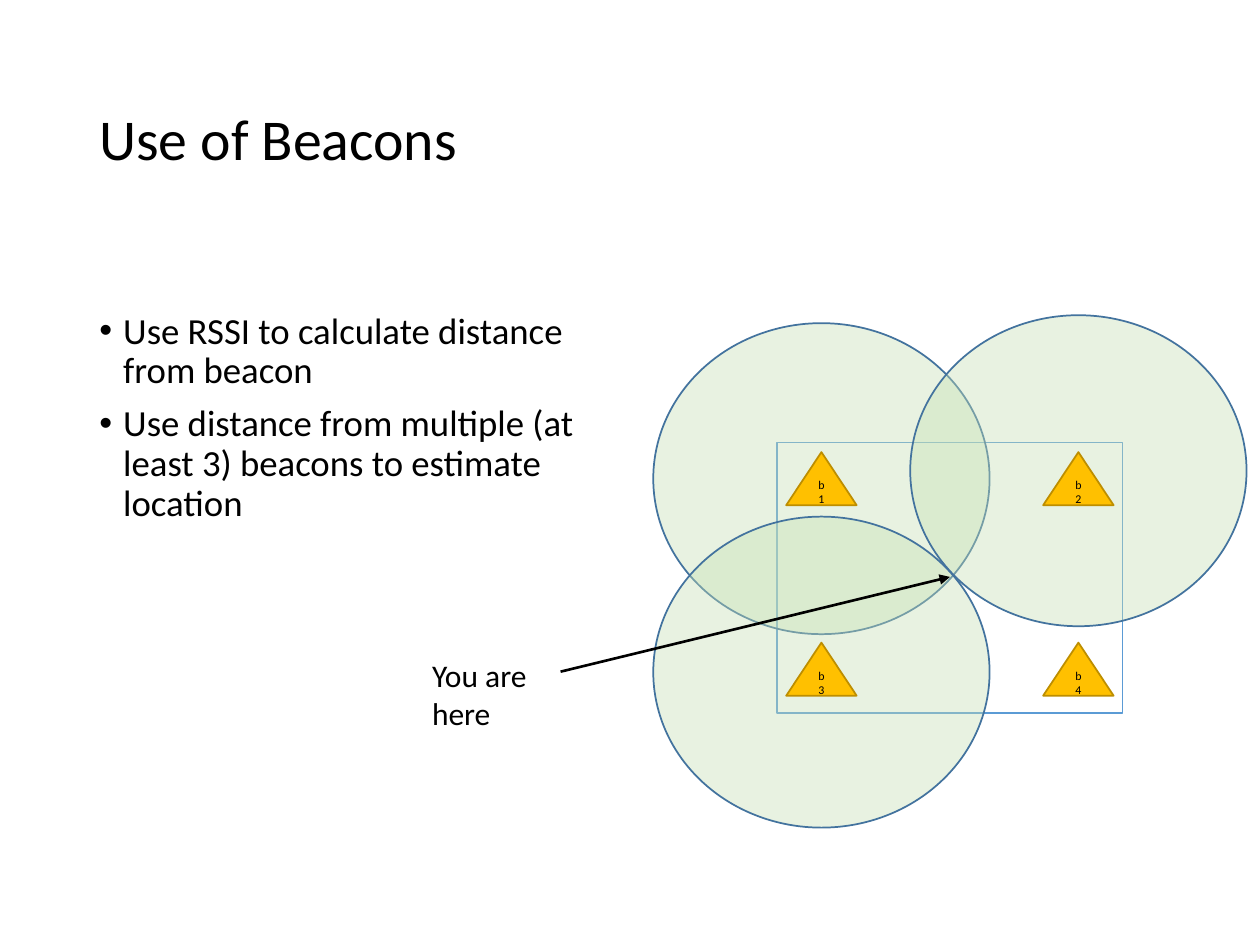
from typing import NamedTuple

from lxml.etree import SubElement
from pptx import Presentation
from pptx.dml.color import RGBColor
from pptx.enum.shapes import MSO_CONNECTOR as Connector, MSO_SHAPE as Preset
from pptx.enum.text import MSO_ANCHOR as Anchor, MSO_AUTO_SIZE as AutoSize, PP_ALIGN as Align
from pptx.oxml.ns import qn
from pptx.util import Cm, Pt

BLACK = RGBColor(0x00, 0x00, 0x00)
WHITE = RGBColor(0xFF, 0xFF, 0xFF)
ROOM_BLUE = RGBColor(0x5B, 0x9B, 0xD5)
RANGE_GREEN = RGBColor(0xC5, 0xE0, 0xB4)
RANGE_BLUE = RGBColor(0x43, 0x73, 0x9E)
BEACON_GOLD = RGBColor(0xFF, 0xC0, 0x00)
BEACON_BROWN = RGBColor(0xBD, 0x8E, 0x00)

LEFT, RIGHT = 16.56, 21.74
TOP, BOTTOM = 9.65, 13.49
RANGE_SIZE = (6.78, 6.27)
BEACON_SIZE = (1.42, 1.07)


class Box(NamedTuple):
    left: float
    top: float
    width: float
    height: float


class Beacon(NamedTuple):
    label: str
    x: float
    y: float


class Style(NamedTuple):
    preset: Preset
    fill: RGBColor
    line: RGBColor


ROOM = Style(Preset.RECTANGLE, WHITE, ROOM_BLUE)
RANGE = Style(Preset.OVAL, RANGE_GREEN, RANGE_BLUE)
BEACON = Style(Preset.ISOSCELES_TRIANGLE, BEACON_GOLD, BEACON_BROWN)

RANGE_CENTRES = [(LEFT, TOP), (RIGHT, 9.49), (LEFT, 13.55)]
BEACONS = [
    Beacon("b1", LEFT, TOP),
    Beacon("b3", LEFT, BOTTOM),
    Beacon("b2", RIGHT, TOP),
    Beacon("b4", RIGHT, BOTTOM),
]
BULLETS = [
    "Use RSSI to calculate distance from beacon",
    "Use distance from multiple (at least 3) beacons to estimate location",
]


def apply(target, values: dict) -> None:
    for name, value in values.items():
        setattr(target, name, value)


def place(shape, box: Box) -> None:
    apply(shape, {name: Cm(value) for name, value in box._asdict().items()})


def centred(x: float, y: float, size: tuple) -> Box:
    width, height = size
    return Box(x - width / 2, y - height / 2, width, height)


def write(paragraph, text: str, size: float, **values) -> None:
    paragraph.text = text
    apply(paragraph, values)
    apply(paragraph.font, {"name": "Calibri", "size": Pt(size)})
    paragraph.font.color.rgb = BLACK


def add_bullet(paragraph) -> None:
    properties = paragraph._p.get_or_add_pPr()
    properties.set("marL", str(Cm(0.48)))
    properties.set("indent", str(Cm(-0.48)))
    SubElement(properties, qn("a:buFont"), typeface="Arial")
    SubElement(properties, qn("a:buChar"), char="•")


def draw(group, style: Style, box: Box):
    shape = group.shapes.add_shape(style.preset, *map(Cm, box))
    shape.shadow.inherit = False
    shape.fill.solid()
    shape.fill.fore_color.rgb = style.fill
    shape.line.color.rgb = style.line
    shape.line.width = Pt(1)
    return shape


def draw_range(group, x: float, y: float) -> None:
    circle = draw(group, RANGE, centred(x, y, RANGE_SIZE))
    colour = circle._element.spPr.find(qn("a:solidFill")).find(qn("a:srgbClr"))
    SubElement(colour, qn("a:alpha"), val="39000")


def draw_beacon(group, beacon: Beacon) -> None:
    triangle = draw(group, BEACON, centred(beacon.x, beacon.y, BEACON_SIZE))
    frame = triangle.text_frame
    apply(frame, {"word_wrap": True, "vertical_anchor": Anchor.MIDDLE})
    write(frame.paragraphs[0], beacon.label, 6.8, alignment=Align.CENTER)


def draw_arrow(slide, start: tuple, end: tuple) -> None:
    arrow = slide.shapes.add_connector(Connector.STRAIGHT, *map(Cm, start + end))
    arrow.line.color.rgb = BLACK
    arrow.line.width = Pt(1.5)
    SubElement(arrow.line._get_or_add_ln(), qn("a:tailEnd"), type="triangle")
    SubElement(arrow._element.spPr, qn("a:effectLst"))


def write_text(slide) -> None:
    title, body = slide.placeholders
    place(title, Box(1.75, 1.02, 21.9, 3.68))
    apply(title.text_frame, {"vertical_anchor": Anchor.MIDDLE, "auto_size": AutoSize.NONE})
    write(title.text_frame.paragraphs[0], "Use of Beacons", 33,
          alignment=Align.LEFT, line_spacing=0.9)

    place(body, Box(1.75, 6.17, 11.25, 9.07))
    frame = body.text_frame
    frame.auto_size = AutoSize.NONE
    for index, text in enumerate(BULLETS):
        paragraph = frame.add_paragraph() if index else frame.paragraphs[0]
        add_bullet(paragraph)
        write(paragraph, text, 21, line_spacing=0.9, space_before=Pt(7.5 if index else 0))


def main() -> None:
    presentation = Presentation()
    apply(presentation, {"slide_width": Cm(25.4), "slide_height": Cm(19.05)})
    slide = presentation.slides.add_slide(presentation.slide_layouts[1])
    write_text(slide)

    floor_plan = slide.shapes.add_group_shape()
    draw(floor_plan, ROOM, Box(15.67, 8.92, 6.96, 5.46))
    for x, y in RANGE_CENTRES:
        draw_range(floor_plan, x, y)
    for beacon in BEACONS:
        draw_beacon(floor_plan, beacon)

    draw_arrow(slide, (11.3, 13.54), (19.15, 11.63))
    location = slide.shapes.add_textbox(*map(Cm, Box(8.46, 13.11, 3.56, 1.8)))
    apply(location.text_frame, {"word_wrap": True, "auto_size": AutoSize.SHAPE_TO_FIT_TEXT})
    write(location.text_frame.paragraphs[0], "You are here", 18)

    presentation.save("out.pptx")


if __name__ == "__main__":
    main()
